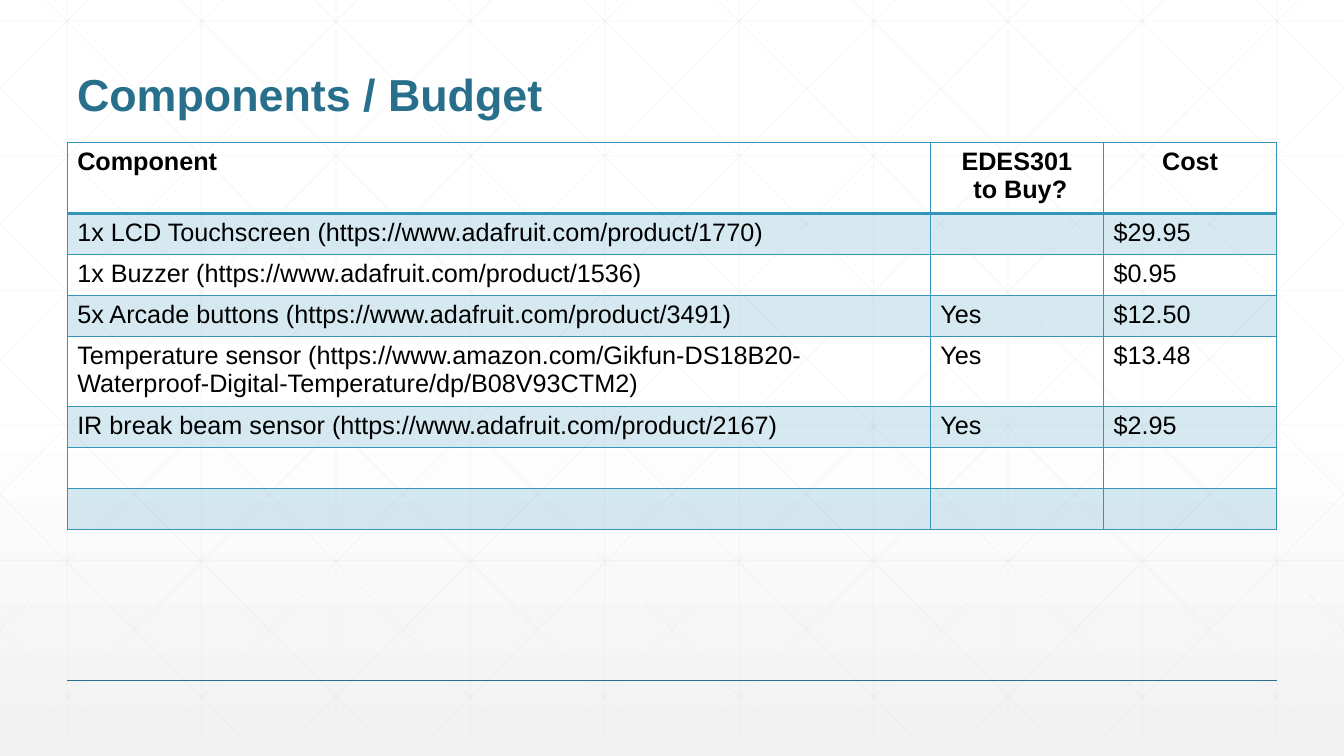
from pptx import Presentation
from pptx import oxml, util as u
from pptx.dml.color import RGBColor
from pptx.enum import shapes, text
from pptx.oxml import ns

PX = 9525
WIDTH, HEIGHT = 1280, 720
FONT = "Arial"
BLACK = RGBColor(0x00, 0x00, 0x00)
WHITE = RGBColor(0xFF, 0xFF, 0xFF)
PALE_GREY = RGBColor(0xF2, 0xF2, 0xF2)
GRID_GREY = RGBColor(0xD9, 0xD9, 0xD9)
TEAL = RGBColor(0x27, 0x6F, 0x8B)
BLUE = RGBColor(0x34, 0x94, 0xBA)

HEADER = ["Component", "EDES301\n to Buy?", "Cost"]
COMPONENTS = [
    ["1x LCD Touchscreen (https://www.adafruit.com/product/1770)", "", "$29.95"],
    ["1x Buzzer (https://www.adafruit.com/product/1536)", "", "$0.95"],
    ["5x Arcade buttons (https://www.adafruit.com/product/3491)", "Yes", "$12.50"],
    ["Temperature sensor (https://www.amazon.com/Gikfun-DS18B20-"
     "Waterproof-Digital-Temperature/dp/B08V93CTM2)", "Yes", "$13.48"],
    ["IR break beam sensor (https://www.adafruit.com/product/2167)", "Yes", "$2.95"],
    ["", "", ""],
    ["", "", ""],
]


def xml(source):
    return oxml.parse_xml(source.replace(">", f" {ns.nsdecls('a')}>", 1))


def set_alpha(element, percent):
    for color in element.iter(ns.qn("a:srgbClr")):
        alpha = color.makeelement(ns.qn("a:alpha"), {"val": str(percent * 1000)})
        color.append(alpha)


def style_runs(para, size, color, bold):
    for span in para.runs:
        span.font.name = FONT
        span.font.size = u.Pt(size)
        span.font.bold = bold
        span.font.color.rgb = color


def draw_line(page, start, end, color, width, alpha=None):
    ends = [round(value * PX) for value in (*start, *end)]
    line = page.shapes.add_connector(shapes.MSO_CONNECTOR.STRAIGHT, *ends)
    line.line.color.rgb = color
    line.line.width = u.Pt(width)
    properties = line._element.spPr
    if alpha:
        set_alpha(properties, alpha)
    properties.append(xml("<a:effectLst></a:effectLst>"))


def paint_background(page):
    fill = page.background.fill
    fill.gradient()
    fill.gradient_angle = 270
    stops = page.background._cSld.find(".//" + ns.qn("a:gsLst"))
    for stop in list(stops):
        stops.remove(stop)
    for percent, color in ((0, WHITE), (53, WHITE), (100, PALE_GREY)):
        stops.append(xml(f'<a:gs pos="{percent * 1000}">'
                         f'<a:srgbClr val="{color}"/></a:gs>'))


def draw_grid(page, left, top, width, height):
    right, bottom = left + width, top + height
    pitch, reach = 128, 716
    slope = height / reach
    lines = [((x, top), (x, bottom)) for x in range(left + 64, right, pitch)]
    for row in range(6):
        y = top + 40 + row * 643 // 5
        lines.append(((left, y), (right, y)))
    for column in range(-5, 10):
        origin = left + 24 + column * pitch
        first, last = max(origin, left), min(origin + reach, right)
        y_first = top + (first - origin) * slope
        y_last = top + (last - origin) * slope
        lines.append(((first, y_first), (last, y_last)))
        lines.append(((left + right - first, y_first),
                      (left + right - last, y_last)))
    for start, end in lines:
        draw_line(page, start, end, GRID_GREY, 0.5, 25)


def add_title(page, left, top, width, height):
    box = page.shapes.add_textbox(left * PX, top * PX, width * PX, height * PX)
    frame = box.text_frame
    frame.word_wrap = True
    frame.vertical_anchor = text.MSO_ANCHOR.BOTTOM
    frame.text = "Components / Budget"
    para = frame.paragraphs[0]
    para.line_spacing = 0.9
    style_runs(para, 32, TEAL, True)


def set_borders(cell, top, bottom):
    properties = cell._tc.get_or_add_tcPr()
    sides = (("L", 1), ("R", 1), ("T", top), ("B", bottom))
    for index, (side, points) in enumerate(sides):
        properties.insert(index, xml(
            f'<a:ln{side} w="{u.Pt(points)}"><a:solidFill>'
            f'<a:srgbClr val="{BLUE}"/></a:solidFill></a:ln{side}>'))


def fill_cell(cell, words, row, column):
    cell.text_frame.text = words
    for para in cell.text_frame.paragraphs:
        if row == 0 and column > 0:
            para.alignment = text.PP_ALIGN.CENTER
        para.font.size = u.Pt(18)
        style_runs(para, 18, BLACK, row == 0)
    if row % 2:
        cell.fill.solid()
        cell.fill.fore_color.rgb = BLUE
        set_alpha(cell._tc.tcPr, 20)
    else:
        cell.fill.background()
    set_borders(cell, 2 if row == 1 else 1, 2 if row == 0 else 1)


def add_budget(page, left, top, width, row_height):
    rows = [HEADER] + COMPONENTS
    frame = page.shapes.add_table(len(rows), len(HEADER), left * PX, top * PX,
                                  width * PX, len(rows) * row_height * PX)
    table = frame.table
    table.first_row = False
    table.horz_banding = False
    narrow = 165
    for column, size in zip(table.columns, (width - 2 * narrow, narrow, narrow)):
        column.width = size * PX
    for row, entries in enumerate(rows):
        table.rows[row].height = row_height * PX
        for column, words in enumerate(entries):
            fill_cell(table.cell(row, column), words, row, column)


def build_budget_slide(deck):
    page = deck.slides.add_slide(deck.slide_layouts[6])
    margin = 64
    content = WIDTH - 2 * margin
    paint_background(page)
    draw_grid(page, 0, -20, WIDTH, HEIGHT)
    draw_line(page, (margin, 648), (margin + content, 648), TEAL, 1)
    add_title(page, margin, 24, content, 96)
    add_budget(page, margin, 136, content, 39)


def main():
    deck = Presentation()
    deck.slide_width = WIDTH * PX
    deck.slide_height = HEIGHT * PX
    build_budget_slide(deck)
    deck.save("out.pptx")


if __name__ == "__main__":
    main()
